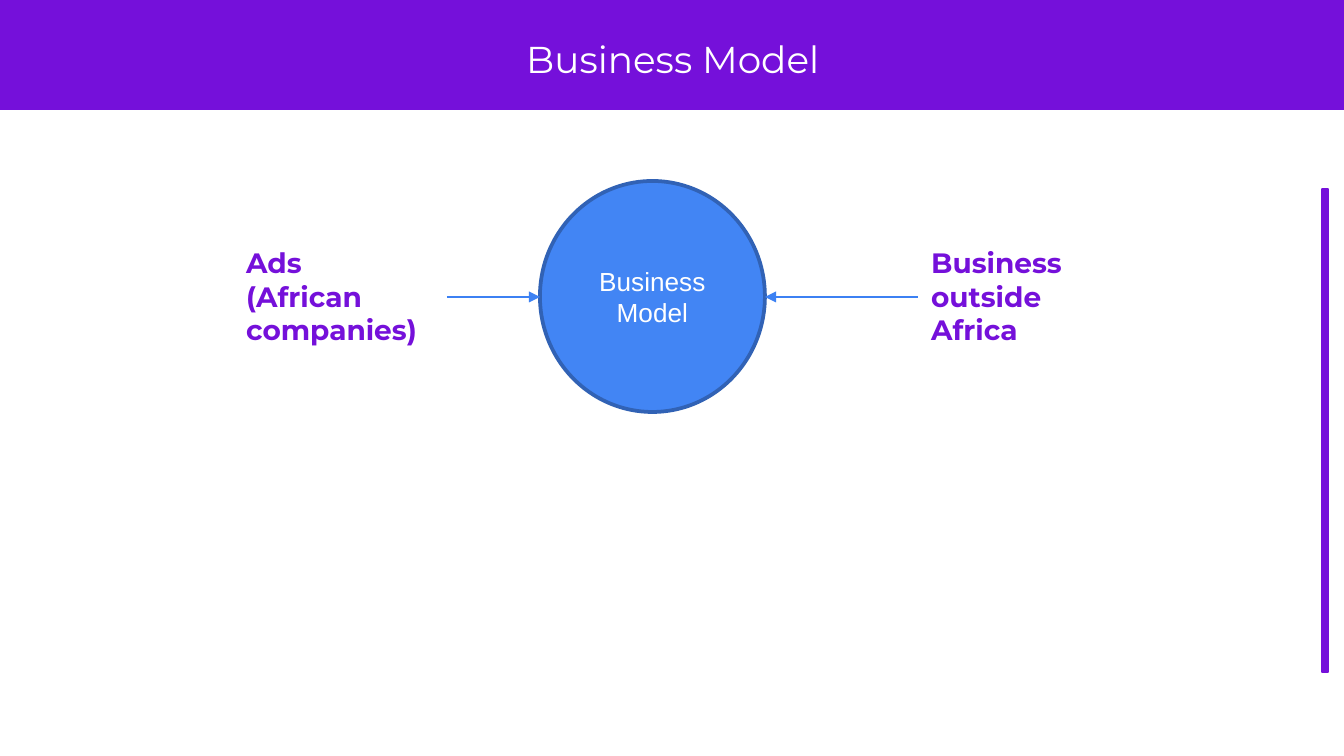
from lxml import etree
from pptx import Presentation
from pptx.dml.color import RGBColor
from pptx.enum.shapes import MSO_CONNECTOR as Connector, MSO_SHAPE as Shape
from pptx.enum.text import MSO_ANCHOR as Anchor, MSO_AUTO_SIZE as AutoSize, PP_ALIGN as Align
from pptx.oxml.ns import qn
from pptx.util import Emu, Pt

PURPLE = RGBColor(0x75, 0x10, 0xDA)
BLUE = RGBColor(0x42, 0x85, 0xF4)
DARK_BLUE = RGBColor(0x31, 0x62, 0xB5)
ARROW_BLUE = RGBColor(0x3C, 0x81, 0xF3)
WHITE = RGBColor(0xFF, 0xFF, 0xFF)

SCALE = 914400 / 134.4
SLIDE_WIDTH, SLIDE_HEIGHT = 1344, 756
BAND = (0, 0, SLIDE_WIDTH, 110)
SIDE_BAR = (997, 421, 656, 19)
CIRCLE = (540, 181, 225, 231)
TITLE_BOX = (513, 23, 464, 73)
LABEL_TOP, LABEL_WIDTH, LABEL_HEIGHT = 239, 214, 116

TITLE = ["Business Model"]
CENTRE = ["Business", "Model"]
SOURCES = [
    {"lines": ["Ads", "(African companies)"], "left": 233, "start": 447, "end": CIRCLE[0]},
    {"lines": ["Business outside Africa"], "left": 918, "start": 918, "end": CIRCLE[0] + CIRCLE[2]},
]


def px(*values):
    return [Emu(round(value * SCALE)) for value in values]


def write(shape, lines, font, size, color, bold=False, align=Align.LEFT):
    frame = shape.text_frame
    frame.word_wrap = True
    for index, line in enumerate(lines):
        paragraph = frame.add_paragraph() if index else frame.paragraphs[0]
        paragraph.alignment = align
        run = paragraph.add_run()
        run.text = line
        run.font.name = font
        run.font.size = Pt(size)
        run.font.bold = bold
        run.font.color.rgb = color
    return frame


def add_figure(kind, box, fill, line=None):
    shape = slide.shapes.add_shape(kind, *px(*box))
    shape.shadow.inherit = False
    shape.fill.solid()
    shape.fill.fore_color.rgb = fill
    if line is None:
        shape.line.fill.background()
    else:
        shape.line.color.rgb = line
        shape.line.width = Pt(2)
    return shape


def add_arrow(start, end, y):
    arrow = slide.shapes.add_connector(Connector.STRAIGHT, *px(start, y, end, y))
    arrow.line.color.rgb = ARROW_BLUE
    arrow.line.width = Pt(0.75)
    etree.SubElement(arrow.line._get_or_add_ln(), qn("a:tailEnd"), type="triangle")
    etree.SubElement(arrow._element.spPr, qn("a:effectLst"))


presentation = Presentation()
presentation.slide_width, presentation.slide_height = px(SLIDE_WIDTH, SLIDE_HEIGHT)
slide = presentation.slides.add_slide(presentation.slide_layouts[6])

add_figure(Shape.RECTANGLE, BAND, PURPLE)
title = slide.shapes.add_textbox(*px(*TITLE_BOX))
title_frame = write(title, TITLE, "Montserrat", 20, WHITE)
title_frame.margin_top, title_frame.margin_bottom = px(13, 13)
title_frame.auto_size = AutoSize.SHAPE_TO_FIT_TEXT

side_bar = add_figure(Shape.MATH_MINUS, SIDE_BAR, PURPLE, PURPLE)
side_bar.rotation = 270

circle = add_figure(Shape.OVAL, CIRCLE, BLUE, DARK_BLUE)
circle_frame = write(circle, CENTRE, "Arial", 14, WHITE, align=Align.CENTER)
circle_frame.vertical_anchor = Anchor.MIDDLE

for source in SOURCES:
    label = slide.shapes.add_textbox(*px(source["left"], LABEL_TOP, LABEL_WIDTH, LABEL_HEIGHT))
    label_frame = write(label, source["lines"], "Montserrat", 15, PURPLE, bold=True)
    label_frame.auto_size = AutoSize.SHAPE_TO_FIT_TEXT
    add_arrow(source["start"], source["end"], LABEL_TOP + LABEL_HEIGHT / 2)

presentation.save("out.pptx")
